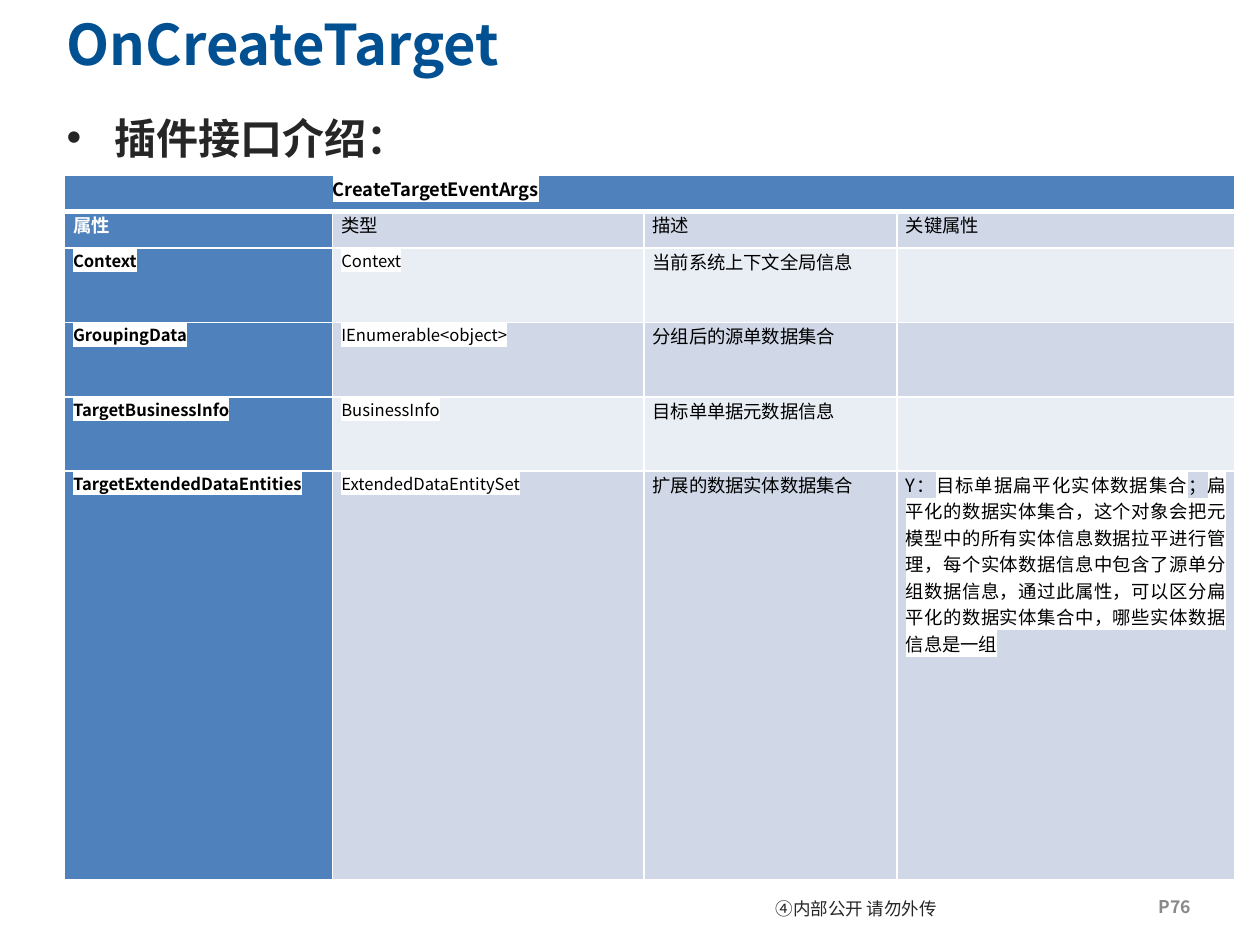
from dataclasses import dataclass

from lxml import etree
from pptx import Presentation
from pptx.dml.color import RGBColor
from pptx.enum.text import MSO_ANCHOR, PP_ALIGN
from pptx.oxml.ns import qn
from pptx.util import Inches, Pt

LEFT, CENTER, JUSTIFY = PP_ALIGN.LEFT, PP_ALIGN.CENTER, PP_ALIGN.JUSTIFY
TOP, MIDDLE = MSO_ANCHOR.TOP, MSO_ANCHOR.MIDDLE

FONT = "Noto Sans CJK SC"
WHITE, BLACK, DARK = "FFFFFF", "000000", "262626"
BLUE, BAND_DARK, BAND_LIGHT = "4F81BD", "D0D8E8", "E9EDF4"
COLUMN_WIDTHS = (2.13, 2.47, 2.01, 2.68)
ROW_HEIGHTS = (0.29, 0.29, 0.59, 0.59, 0.59, 3.24)


@dataclass
class Property:
    name: str
    type_name: str
    description: str


@dataclass
class Label:
    text: str
    box: tuple
    size: float
    color: str
    bold: bool = False
    align: PP_ALIGN = LEFT
    anchor: MSO_ANCHOR = TOP
    margins: tuple = (0.1, 0.05)
    line_spacing: float | None = None
    bullet: bool = False


LABELS = (
    Label("④内部公开 请勿外传", (5.91, 7.02, 1.77, 0.36), 10, DARK, align=CENTER,
          anchor=MIDDLE, margins=(0.08, 0.01), line_spacing=14),
    Label("P76", (9.1, 7.06, 0.9, 0.27), 10, "898989", bold=True),
    Label("插件接口介绍：", (0.43, 0.84, 9.12, 5.62), 24, DARK, bold=True, bullet=True),
    Label("OnCreateTarget", (0.43, 0, 7.32, 0.68), 32, "005092", bold=True, anchor=MIDDLE),
)
HEADINGS = ("属性", "类型", "描述", "关键属性")
PROPERTIES = (
    Property("Context", "Context", "当前系统上下文全局信息"),
    Property("GroupingData", "IEnumerable<object>", "分组后的源单数据集合"),
    Property("TargetBusinessInfo", "BusinessInfo", "目标单单据元数据信息"),
    Property("TargetExtendedDataEntities", "ExtendedDataEntitySet", "扩展的数据实体数据集合"),
)
# Text pieces of the key property, each with its highlight
KEY_PROPERTY = (
    ("Y：", None),
    ("目标单据扁平化实体数据集合", WHITE),
    ("；", None),
    ("扁平化的数据实体集合，这个对象会把元模型中的所有实体信息数据拉平进行管理，"
     "每个实体数据信息中包含了源单分组数据信息，通过此属性，"
     "可以区分扁平化的数据实体集合中，哪些实体数据信息是一组", WHITE),
)


def rgb(color: str) -> RGBColor:
    return RGBColor.from_string(color)


def add_text(paragraph, text: str, *, size: float = 10.5, color: str = BLACK,
             bold: bool = False, highlight: str | None = None, align=JUSTIFY) -> None:
    paragraph.alignment = align
    run = paragraph.add_run()
    run.text = text
    font = run.font
    font.size, font.bold = Pt(size), bold
    font.color.rgb = rgb(color)
    properties = run._r.get_or_add_rPr()
    if highlight:
        marker = etree.SubElement(properties, qn("a:highlight"))
        etree.SubElement(marker, qn("a:srgbClr"), val=highlight)
    font.name = FONT
    etree.SubElement(properties, qn("a:ea"), typeface=FONT)


def add_label(slide, label: Label) -> None:
    frame = slide.shapes.add_textbox(*map(Inches, label.box)).text_frame
    frame.word_wrap = True
    frame.vertical_anchor = label.anchor
    frame.margin_left = frame.margin_right = Inches(label.margins[0])
    frame.margin_top = frame.margin_bottom = Inches(label.margins[1])
    paragraph = frame.paragraphs[0]
    if label.line_spacing:
        paragraph.line_spacing = Pt(label.line_spacing)
    if label.bullet:
        properties = paragraph._p.get_or_add_pPr()
        properties.set("marL", str(Inches(0.38)))
        properties.set("indent", str(Inches(-0.38)))
        etree.SubElement(properties, qn("a:buFont"), typeface="Arial")
        etree.SubElement(properties, qn("a:buChar"), char="•")
    add_text(paragraph, label.text, size=label.size, color=label.color,
             bold=label.bold, align=label.align)


def style_cell(cell, fill: str, top: float = 1, bottom: float = 1) -> None:
    cell.margin_left = cell.margin_right = Inches(0.07)
    cell.margin_top = cell.margin_bottom = 0
    cell.fill.solid()
    cell.fill.fore_color.rgb = rgb(fill)
    properties = cell._tc.get_or_add_tcPr()
    borders = (("a:lnL", 1), ("a:lnR", 1), ("a:lnT", top), ("a:lnB", bottom))
    for position, (tag, width) in enumerate(borders):
        line = etree.Element(qn(tag), w=str(Pt(width)))
        solid = etree.SubElement(line, qn("a:solidFill"))
        etree.SubElement(solid, qn("a:srgbClr"), val=WHITE)
        properties.insert(position, line)


def add_property_table(slide) -> None:
    table = slide.shapes.add_table(
        len(ROW_HEIGHTS), len(COLUMN_WIDTHS), Inches(0.51), Inches(1.39),
        Inches(sum(COLUMN_WIDTHS)), Inches(sum(ROW_HEIGHTS))).table
    for column, width in zip(table.columns, COLUMN_WIDTHS):
        column.width = Inches(width)
    for row, height in zip(table.rows, ROW_HEIGHTS):
        row.height = Inches(height)

    # Fills and borders: blue header and first column, banded body
    for row_index, row in enumerate(table.rows):
        band = BAND_DARK if row_index % 2 else BAND_LIGHT
        for column_index, cell in enumerate(row.cells):
            style_cell(cell, BLUE if row_index == 0 or column_index == 0 else band,
                       top=3 if row_index == 1 else 1,
                       bottom=3 if row_index == 0 else 1)

    # Title row, placed by tab stops
    title = table.cell(0, 0)
    title.merge(table.cell(0, len(COLUMN_WIDTHS) - 1))
    paragraph = title.text_frame.paragraphs[0]
    tabs = etree.SubElement(paragraph._p.get_or_add_pPr(), qn("a:tabLst"))
    for position, kind in ((2.03, "l"), (2.88, "ctr")):
        etree.SubElement(tabs, qn("a:tab"), pos=str(Inches(position)), algn=kind)
    add_text(paragraph, "\t\tCreateTargetEventArgs", bold=True, highlight=WHITE, align=LEFT)

    # Column headings
    for index, heading in enumerate(HEADINGS):
        add_text(table.cell(1, index).text_frame.paragraphs[0], heading,
                 bold=index == 0, color=BLACK if index else WHITE)

    # Property rows
    for row_index, item in enumerate(PROPERTIES, start=2):
        name, type_name, description = (
            table.cell(row_index, index).text_frame.paragraphs[0] for index in range(3))
        add_text(name, item.name, size=9.5, bold=True, highlight=WHITE)
        add_text(type_name, item.type_name, size=9.5, highlight=WHITE)
        add_text(description, item.description)
    key_paragraph = table.cell(len(ROW_HEIGHTS) - 1, 3).text_frame.paragraphs[0]
    for text, highlight in KEY_PROPERTY:
        add_text(key_paragraph, text, highlight=highlight)


def main() -> None:
    presentation = Presentation()
    presentation.slide_width, presentation.slide_height = Inches(10), Inches(7.5)
    slide = presentation.slides.add_slide(presentation.slide_layouts[6])
    for label in LABELS:
        add_label(slide, label)
    add_property_table(slide)
    presentation.save("out.pptx")


if __name__ == "__main__":
    main()
